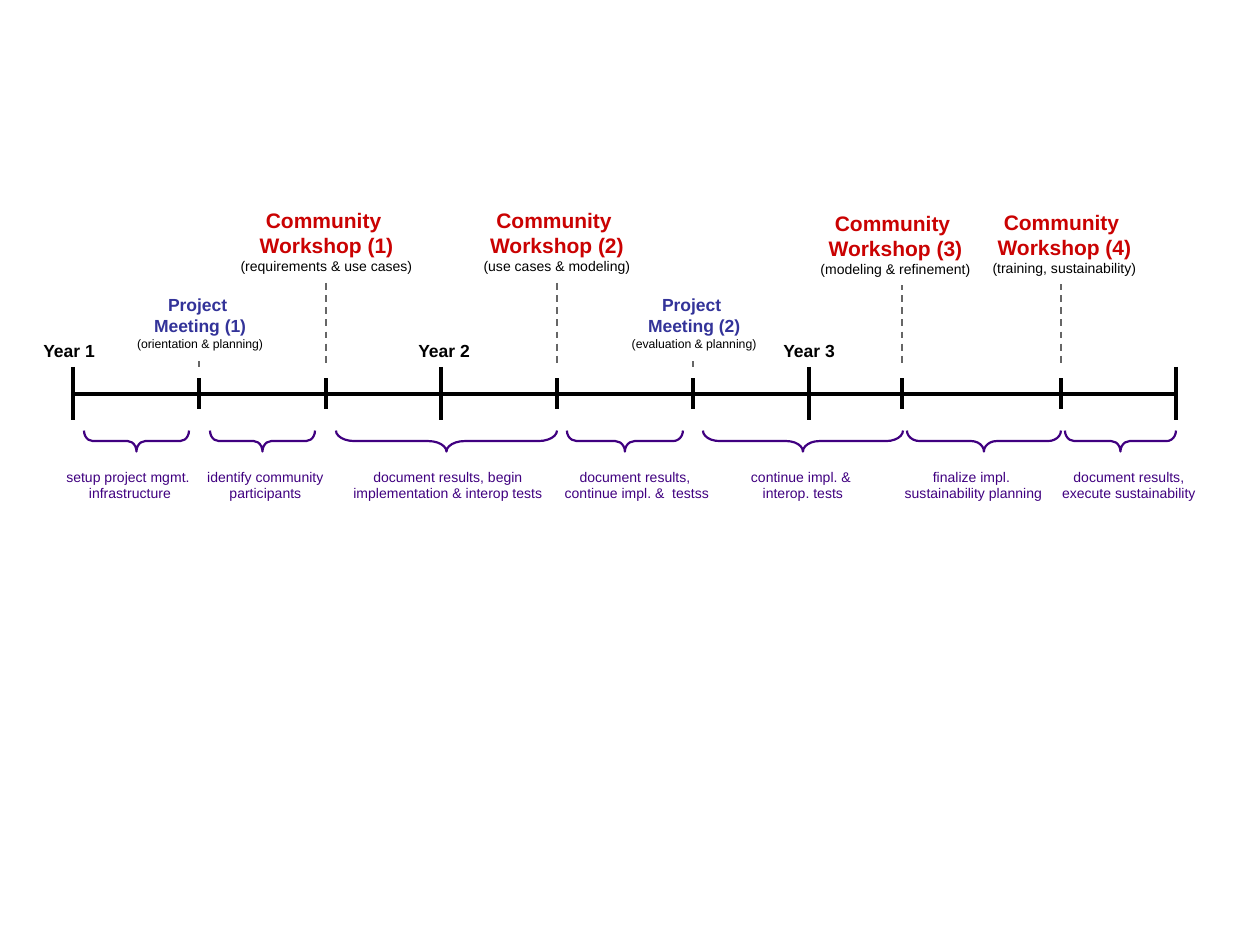
from pptx import Presentation
from pptx.dml.color import RGBColor as RGB
from pptx.enum.dml import MSO_LINE
from pptx.enum.shapes import MSO_CONNECTOR, MSO_SHAPE
from pptx.enum.text import MSO_ANCHOR, MSO_AUTO_SIZE, PP_ALIGN
from pptx.oxml.ns import qn
from pptx.util import Pt
from lxml import etree

PX = 914400 / 126
COLORS = {"black": "000000", "white": "FFFFFF", "gray": "666666",
          "purple": "400080", "blue": "333399", "red": "CA0202"}

prs = Presentation()
prs.slide_width, prs.slide_height = int(1260 * PX), int(945 * PX)
s = prs.slides.add_slide(prs.slide_layouts[6])


def add_line(x1, y1, x2, y2, color, width, dash=None):
    ends = [int(v * PX) for v in (x1, y1, x2, y2)]
    c = s.shapes.add_connector(MSO_CONNECTOR.STRAIGHT, *ends)
    c.line.color.rgb = RGB.from_string(COLORS[color])
    c.line.width = Pt(width)
    c.line.dash_style = dash
    etree.SubElement(c._element.spPr, qn("a:effectLst"))


def add_label(box, lines, size, color, bold=False, note_size=None,
              align=PP_ALIGN.CENTER):
    """Unwrapped text; with a note_size, a white box whose last line is a note."""
    box = [int(v * PX) for v in box]
    if note_size:
        sp = s.shapes.add_shape(MSO_SHAPE.RECTANGLE, *box)
        sp.shadow.inherit = False
        sp.fill.solid()
        sp.fill.fore_color.rgb = RGB.from_string(COLORS["white"])
        sp.line.fill.background()
    else:
        sp = s.shapes.add_textbox(*box)
    tf = sp.text_frame
    tf.word_wrap = False
    tf.auto_size = MSO_AUTO_SIZE.SHAPE_TO_FIT_TEXT
    tf.vertical_anchor = MSO_ANCHOR.TOP
    tf.text = "\n".join(lines)
    for i, p in enumerate(tf.paragraphs, 1):
        is_note = note_size and i == len(lines)
        p.alignment = align
        f = p.runs[0].font
        f.name = "Arial"
        f.size = Pt(note_size if is_note else size)
        f.bold = bold and not is_note
        f.color.rgb = RGB.from_string(COLORS["black" if is_note else color])


# Time axis with year marks
add_line(73, 394, 1176, 394, "black", 2.5)
for x in (73, 441, 809, 1176):
    add_line(x, 367, x, 420, "black", 2.5)
for year, x in enumerate((31, 406, 771), 1):
    add_label((x, 334, 78, 34), [f"Year {year}"], 10, "black", True,
              align=PP_ALIGN.LEFT)

# Event ticks, each with a dashed leader up to its label
for x, top in ((199, 325), (326, 210), (557, 210),
               (693, 325), (902, 210), (1061, 210)):
    add_line(x, 378, x, 409, "black", 2)
    add_line(x, top, x, 367, "gray", 1, MSO_LINE.DASH)

# Work phases: brace span, caption left and width, caption
phases = [
    (84, 189, 50, 160, ["setup project mgmt. ", "infrastructure"]),
    (210, 315, 191, 149, ["identify community", "participants"]),
    (336, 557, 337, 226, ["document results, begin ",
                          "implementation & interop tests "]),
    (567, 683, 548, 178, ["document results, ", "continue impl. &  testss"]),
    (703, 903, 733, 140, ["continue impl. & ", "interop. tests"]),
    (907, 1061, 888, 171, ["finalize impl. ", "sustainability planning"]),
    (1065, 1176, 1046, 166, ["document results,", "execute sustainability"]),
]
DEPTH, MID_Y = 21, 441
for x1, x2, left, width, lines in phases:
    span = x2 - x1
    box = ((x1 + x2 - DEPTH) / 2, MID_Y - span / 2, DEPTH, span)
    sp = s.shapes.add_shape(MSO_SHAPE.LEFT_BRACE, *[int(v * PX) for v in box])
    sp.rotation = 270
    sp.adjustments[0] = span / 12 / DEPTH
    sp.shadow.inherit = False
    sp.fill.background()
    sp.line.color.rgb = RGB.from_string(COLORS["purple"])
    sp.line.width = Pt(1.25)
    add_label((left, 462, width, 47), lines, 8, "purple")

# Project meetings
for n, (x, note) in enumerate([(121, "orientation"), (615, "evaluation")], 1):
    add_label((x, 288, 158, 69),
              ["Project ", f"Meeting ({n})", f"({note} & planning)"],
              10, "blue", True, 7)

# Community workshops
workshops = [
    (224, 201, 205, "requirements & use cases"),
    (467, 201, 180, "use cases & modeling"),
    (804, 204, 183, "modeling & refinement"),
    (976, 203, 177, "training, sustainability"),
]
for n, (x, y, width, note) in enumerate(workshops, 1):
    add_label((x, y, width, 81),
              ["Community ", f"Workshop ({n})", f"({note})"],
              12, "red", True, 8)

prs.save("out.pptx")
